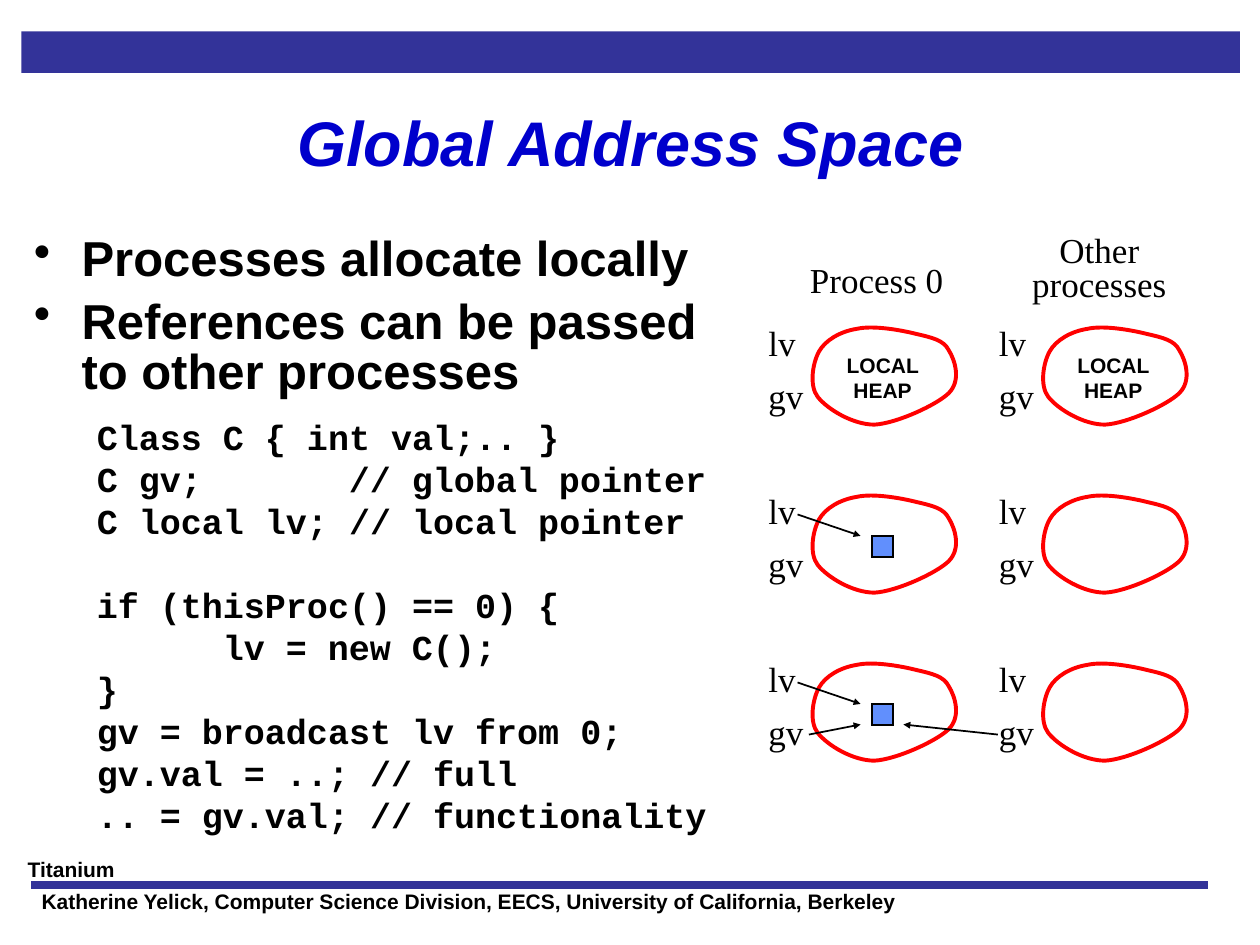
from dataclasses import dataclass

from lxml import etree
from pptx import Presentation
from pptx.dml.color import RGBColor
from pptx.enum.shapes import MSO_CONNECTOR, MSO_SHAPE
from pptx.enum.text import MSO_ANCHOR, PP_ALIGN
from pptx.oxml.ns import qn
from pptx.util import Inches, Pt

LEFT, CENTER = PP_ALIGN.LEFT, PP_ALIGN.CENTER
TOP, MIDDLE, BOTTOM = MSO_ANCHOR.TOP, MSO_ANCHOR.MIDDLE, MSO_ANCHOR.BOTTOM
RECT, STRAIGHT = MSO_SHAPE.RECTANGLE, MSO_CONNECTOR.STRAIGHT


@dataclass(frozen=True)
class Theme:
    sans: str = "Arial"
    serif: str = "Times New Roman"
    mono: str = "Courier New"
    ink: str = "000000"
    bar: str = "333399"
    head: str = "0000CC"
    heap: str = "FF0000"
    item: str = "618FFD"
    title: int = 36
    body: int = 28
    code: int = 20
    label: int = 20
    small: int = 12


# Heap outline, in inches from the corner of its cell: start, then cubic curves.
START = (0.5, 0.29)
CURVES = [
    ((0.55, 0.2), (0.67, 0.13), (0.8, 0.11)),
    ((0.93, 0.08), (1.15, 0.12), (1.27, 0.15)),
    ((1.4, 0.18), (1.49, 0.2), (1.53, 0.28)),
    ((1.58, 0.36), (1.63, 0.52), (1.53, 0.62)),
    ((1.44, 0.71), (1.12, 0.86), (0.94, 0.87)),
    ((0.77, 0.87), (0.57, 0.75), (0.49, 0.65)),
    ((0.42, 0.56), (0.45, 0.38), START),
]

CODE = [
    "Class C { int val;.. }",
    "C gv;\t\t// global pointer",
    "C local lv; // local pointer",
    "if (thisProc() == 0) {",
    "\tlv = new C();",
    "}",
    "gv = broadcast lv from 0;",
    "gv.val = ..; // full",
    ".. = gv.val; // functionality",
]


def bend(shape):
    """Turn each three straight segments of a freeform into one cubic curve."""
    lines = list(shape._element.iter(qn("a:lnTo")))
    for i in range(0, len(lines), 3):
        curve = etree.Element(qn("a:cubicBezTo"))
        lines[i].addprevious(curve)
        for line in lines[i:i + 3]:
            curve.append(line[0])
            line.getparent().remove(line)


class Deck:
    def __init__(self, theme):
        self.theme = theme
        self.prs = Presentation()
        self.prs.slide_width, self.prs.slide_height = Inches(10), Inches(7.5)
        self.slide = self.prs.slides.add_slide(self.prs.slide_layouts[6])
        self.shapes = self.slide.shapes

    def stroke(self, line, color, width):
        line.color.rgb = RGBColor.from_string(color)
        line.width = Pt(width)
        etree.SubElement(line._get_or_add_ln(), qn("a:miter"), lim="800000")

    def text(self, box, text, *, font=None, size=None, color=None, bold=False,
             italic=False, align=LEFT, anchor=TOP, wrap=True, left=0.1,
             line=None, gaps=None, bullet=None, tabs=()):
        """Add text, one paragraph a line; gaps maps paragraph number to space before."""
        frame = self.shapes.add_textbox(*map(Inches, box)).text_frame
        frame.word_wrap, frame.vertical_anchor = wrap, anchor
        frame.margin_left, frame.margin_right = Inches(left), Inches(0.1)
        frame.margin_top = frame.margin_bottom = Inches(0.05)
        for i, words in enumerate(text.split("\n")):
            para = frame.paragraphs[0] if i == 0 else frame.add_paragraph()
            para.alignment = align
            if line:
                para.line_spacing = line
            if gaps and i in gaps:
                para.space_before = Pt(gaps[i])
            props = para._p.get_or_add_pPr()
            if bullet:
                props.set("marL", str(Inches(0.38)))
                props.set("indent", str(-Inches(0.38)))
                etree.SubElement(props, qn("a:buChar"), char=bullet)
            if tabs:
                stops = etree.SubElement(props, qn("a:tabLst"))
                for stop in tabs:
                    etree.SubElement(stops, qn("a:tab"),
                                     pos=str(Inches(stop)), algn="l")
            run = para.add_run()
            run.text = words
            run.font.name = font or self.theme.sans
            run.font.size = Pt(size or self.theme.small)
            run.font.bold, run.font.italic = bold, italic
            run.font.color.rgb = RGBColor.from_string(color or self.theme.ink)

    def rect(self, box, fill, edge=None):
        shape = self.shapes.add_shape(RECT, *map(Inches, box))
        shape.shadow.inherit = False
        shape.fill.solid()
        shape.fill.fore_color.rgb = RGBColor.from_string(fill)
        if edge:
            self.stroke(shape.line, edge, 1)
        else:
            shape.line.fill.background()

    def arrow(self, start, end):
        link = self.shapes.add_connector(STRAIGHT, *map(Inches, start + end))
        self.stroke(link.line, self.theme.ink, 1)
        etree.SubElement(link.line._get_or_add_ln(), qn("a:tailEnd"),
                         type="triangle", w="sm", len="sm")
        etree.SubElement(link._element.spPr, qn("a:effectLst"))

    def label(self, box, text, **form):
        self.text(box, text, font=self.theme.serif, size=self.theme.label, **form)

    def heap(self, x, y):
        """Draw one process: its two variables and the outline of its heap."""
        for name, drop in (("lv", 0), ("gv", 0.42)):
            self.label((x, y + drop, 0.5, 0.44), name)
        points = [START] + [point for curve in CURVES for point in curve]
        first, *rest = [(Inches(x + dx), Inches(y + dy)) for dx, dy in points]
        path = self.shapes.build_freeform(*first)
        path.add_line_segments(rest, close=True)
        shape = path.convert_to_shape()
        bend(shape)
        shape.shadow.inherit = False
        shape.fill.background()
        self.stroke(shape.line, self.theme.heap, 2.25)


def main():
    theme = Theme()
    deck = Deck(theme)

    deck.rect((0.17, 0.25, 9.67, 0.33), theme.bar)
    deck.text((0.28, 7, 9.44, 0.3),
              "Katherine Yelick, Computer Science Division, EECS, "
              "University of California, Berkeley",
              bold=True, anchor=BOTTOM, left=0.05)
    deck.text((0.17, 6.75, 9.67, 0.33), "Titanium", bold=True, left=0.05)
    deck.rect((0.25, 7, 9.33, 0.05), theme.bar, theme.bar)

    deck.text((0.17, 0.58, 9.67, 1.14), "Global Address Space", size=theme.title,
              color=theme.head, bold=True, italic=True, align=CENTER,
              anchor=MIDDLE, line=0.95)
    deck.text((0.17, 1.83, 5.5, 1.51),
              "Processes allocate locally\n"
              "References can be passed to other processes",
              size=theme.body, bold=True, line=0.85, gaps={1: 7}, bullet="•")
    deck.text((0.67, 3.25, 5.17, 3.44), "\n".join(CODE), font=theme.mono,
              size=theme.code, bold=True, gaps={3: 24}, tabs=(1, 2))

    deck.label((6.33, 2, 1.26, 0.44), "Process 0", wrap=False)
    deck.label((7.92, 1.83, 1.61, 0.64), "Other processes", align=CENTER, line=0.8)

    columns = (6, 7.83)
    rows = [2.5 + i * 4 / 3 for i in range(3)]
    for y in rows:
        for x in columns:
            deck.heap(x, y)
    for x in columns:
        deck.text((x + 0.58, 2.75, 0.85, 0.5), "LOCAL HEAP", bold=True,
                  align=CENTER)
    for y in rows[1:]:
        deck.rect((6.92, y + 0.42, 0.17, 0.17), theme.item, theme.ink)
        deck.arrow((6.33, y + 0.25), (6.83, y + 0.42))
    deck.arrow((6.42, 5.83), (6.83, 5.75))
    deck.arrow((7.92, 5.83), (7.17, 5.75))

    deck.prs.save("out.pptx")


if __name__ == "__main__":
    main()
